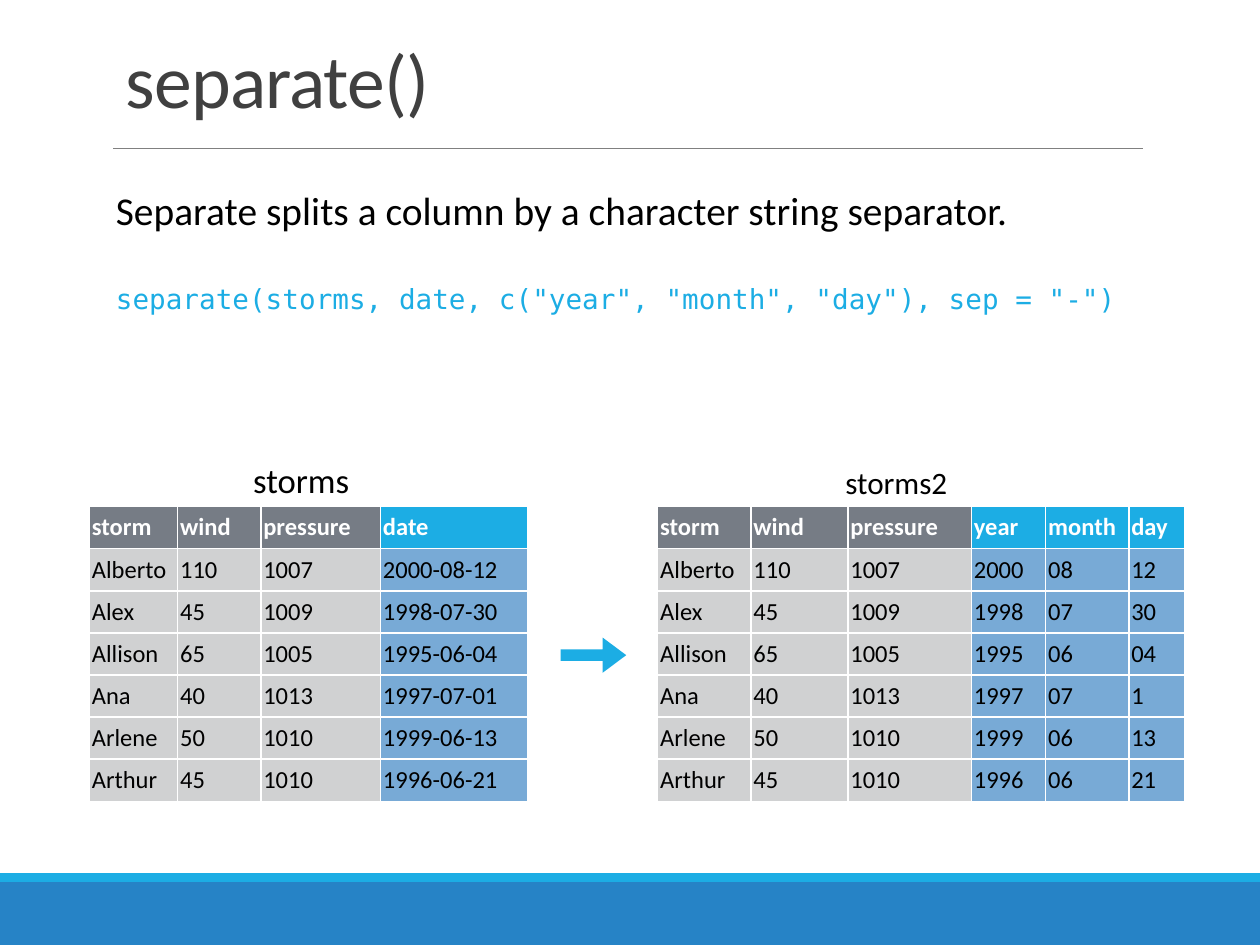
"""Build a slide that explains separate() with the storms tables."""
from typing import NamedTuple

from lxml import etree
from pptx import Presentation
from pptx.dml.color import RGBColor
from pptx.enum import shapes, text
from pptx.oxml import ns
from pptx.util import Inches, Pt

WHITE = RGBColor(0xFF, 0xFF, 0xFF)
BLACK = RGBColor(0x00, 0x00, 0x00)
CHARCOAL = RGBColor(0x40, 0x40, 0x40)
RULE_GRAY = RGBColor(0x80, 0x80, 0x80)
SLATE = RGBColor(0x76, 0x7C, 0x85)
PALE_GRAY = RGBColor(0xD0, 0xD1, 0xD2)
CYAN = RGBColor(0x1C, 0xAD, 0xE4)
BLUE = RGBColor(0x26, 0x83, 0xC6)
SOFT_BLUE = RGBColor(0x78, 0xAA, 0xD6)

KEPT_COLUMNS = 3
ROW_HEIGHT = 2.34 / 7
TABLE_TOP = 4.02
CELL_INSET = 0.02


class Box(NamedTuple):
    left: float
    top: float
    width: float
    height: float


class Caption(NamedTuple):
    wording: str
    box: Box
    size: float
    color: RGBColor = BLACK
    font: str = "Calibri"
    inset: float = 0.02
    line_spacing: float = 0.7
    anchor: text.MSO_ANCHOR = text.MSO_ANCHOR.TOP
    tracking: int = 0


class Block(NamedTuple):
    preset: shapes.MSO_SHAPE
    box: Box
    color: RGBColor
    adjustments: tuple[float, ...] = ()


class Storm(NamedTuple):
    name: str
    wind: str
    pressure: str
    date: str
    year_month_day: tuple[str, str, str]


class StormTable(NamedTuple):
    left: float
    widths: list[float]
    rows: list[tuple[str, ...]]


STORMS = [
    Storm("Alberto", "110", "1007", "2000-08-12", ("2000", "08", "12")),
    Storm("Alex", "45", "1009", "1998-07-30", ("1998", "07", "30")),
    Storm("Allison", "65", "1005", "1995-06-04", ("1995", "06", "04")),
    Storm("Ana", "40", "1013", "1997-07-01", ("1997", "07", "1")),
    Storm("Arlene", "50", "1010", "1999-06-13", ("1999", "06", "13")),
    Storm("Arthur", "45", "1010", "1996-06-21", ("1996", "06", "21")),
]
KEPT_HEADER = ("storm", "wind", "pressure")

TABLES = [
    StormTable(5.22, [0.74, 0.77, 0.98, 0.59, 0.66, 0.44],
               [KEPT_HEADER + ("year", "month", "day")]
               + [storm[:KEPT_COLUMNS] + storm.year_month_day for storm in STORMS]),
    StormTable(0.71, [0.7, 0.66, 0.95, 1.17],
               [KEPT_HEADER + ("date",)]
               + [storm[:KEPT_COLUMNS] + (storm.date,) for storm in STORMS]),
]

BLOCKS = [
    Block(shapes.MSO_SHAPE.RECTANGLE, Box(0, 7, 10, 0.5), BLUE),
    Block(shapes.MSO_SHAPE.RECTANGLE, Box(0, 6.93, 10, 0.07), CYAN),
    Block(shapes.MSO_SHAPE.RIGHT_ARROW, Box(4.45, 5.06, 0.52, 0.28), CYAN, (0.32, 0.67)),
]

CAPTIONS = [
    Caption("separate()", Box(0.9, 0.31, 8.25, 0.72), 43.2, CHARCOAL, inset=0.1,
            line_spacing=0.85, anchor=text.MSO_ANCHOR.BOTTOM, tracking=-50),
    Caption("Separate splits a column by a character string separator.",
            Box(0.9, 1.56, 8.06, 0.61), 22.5),
    Caption('separate(storms, date, c("year", "month", "day"), sep = "-")',
            Box(0.9, 2.29, 8.06, 0.61), 15.8, CYAN, "DejaVu Sans Mono"),
    Caption("storms", Box(1.98, 3.64, 0.96, 0.37), 19.8, inset=0.03,
            line_spacing=0.9, anchor=text.MSO_ANCHOR.MIDDLE),
    Caption("storms2", Box(6.68, 3.64, 0.96, 0.37), 17.8, inset=0.03,
            line_spacing=1.0, anchor=text.MSO_ANCHOR.MIDDLE),
]


def place(box: Box) -> list[int]:
    return [Inches(length) for length in box]


def add_run(paragraph, wording: str, size: float, color: RGBColor, font: str = "Calibri"):
    run = paragraph.add_run()
    run.text = wording
    run.font.size = Pt(size)
    run.font.name = font
    run.font.color.rgb = color
    return run


def draw_block(slide, block: Block) -> None:
    shape = slide.shapes.add_shape(block.preset, *place(block.box))
    shape.shadow.inherit = False
    shape.fill.solid()
    shape.fill.fore_color.rgb = block.color
    shape.line.fill.background()
    for index, adjustment in enumerate(block.adjustments):
        shape.adjustments[index] = adjustment


def draw_title_rule(slide) -> None:
    rule = slide.shapes.add_connector(
        shapes.MSO_CONNECTOR.STRAIGHT, Inches(0.9), Inches(1.18), Inches(9.07), Inches(1.18))
    rule.line.color.rgb = RULE_GRAY
    rule.line.width = Pt(0.5)
    etree.SubElement(rule._element.spPr, ns.qn("a:effectLst"))


def draw_caption(slide, caption: Caption) -> None:
    frame = slide.shapes.add_textbox(*place(caption.box)).text_frame
    frame.word_wrap = True
    frame.vertical_anchor = caption.anchor
    frame.margin_left = frame.margin_right = Inches(caption.inset)
    frame.margin_top = frame.margin_bottom = Inches(min(caption.inset, 0.05))
    paragraph = frame.paragraphs[0]
    paragraph.line_spacing = caption.line_spacing
    run = add_run(paragraph, caption.wording, caption.size, caption.color, caption.font)
    if caption.tracking:
        run._r.get_or_add_rPr().set("spc", str(caption.tracking))


def add_borders(cell) -> None:
    properties = cell._tc.get_or_add_tcPr()
    for side in ("lnL", "lnR", "lnT", "lnB"):
        border = etree.SubElement(properties, ns.qn(f"a:{side}"), w=str(Pt(1)))
        fill = etree.SubElement(border, ns.qn("a:solidFill"))
        etree.SubElement(fill, ns.qn("a:srgbClr"), val=str(WHITE))


def draw_cell(cell, wording: str, is_header: bool, is_date: bool) -> None:
    add_borders(cell)
    cell.fill.solid()
    header_fill, body_fill = (CYAN, SOFT_BLUE) if is_date else (SLATE, PALE_GRAY)
    cell.fill.fore_color.rgb = header_fill if is_header else body_fill
    cell.vertical_anchor = text.MSO_ANCHOR.MIDDLE
    cell.margin_left = cell.margin_right = Inches(CELL_INSET)
    cell.margin_top = cell.margin_bottom = Inches(CELL_INSET)
    paragraph = cell.text_frame.paragraphs[0]
    paragraph.alignment = text.PP_ALIGN.LEFT
    run = add_run(paragraph, wording, 14, WHITE if is_header else BLACK)
    run.font.bold = is_header


def draw_table(slide, storm_table: StormTable) -> None:
    rows, widths = storm_table.rows, storm_table.widths
    box = Box(storm_table.left, TABLE_TOP, sum(widths), ROW_HEIGHT * len(rows))
    grid = slide.shapes.add_table(len(rows), len(widths), *place(box)).table
    for column, width in zip(grid.columns, widths):
        column.width = Inches(width)
    for row_index, row in enumerate(rows):
        grid.rows[row_index].height = Inches(ROW_HEIGHT)
        for column_index, wording in enumerate(row):
            draw_cell(grid.cell(row_index, column_index), wording,
                      row_index == 0, column_index >= KEPT_COLUMNS)


def main() -> None:
    deck = Presentation()
    deck.slide_width, deck.slide_height = Inches(10), Inches(7.5)
    slide = deck.slides.add_slide(deck.slide_layouts[6])
    for block in BLOCKS:
        draw_block(slide, block)
    draw_title_rule(slide)
    for caption in CAPTIONS:
        draw_caption(slide, caption)
    for storm_table in TABLES:
        draw_table(slide, storm_table)
    deck.save("out.pptx")


if __name__ == "__main__":
    main()
